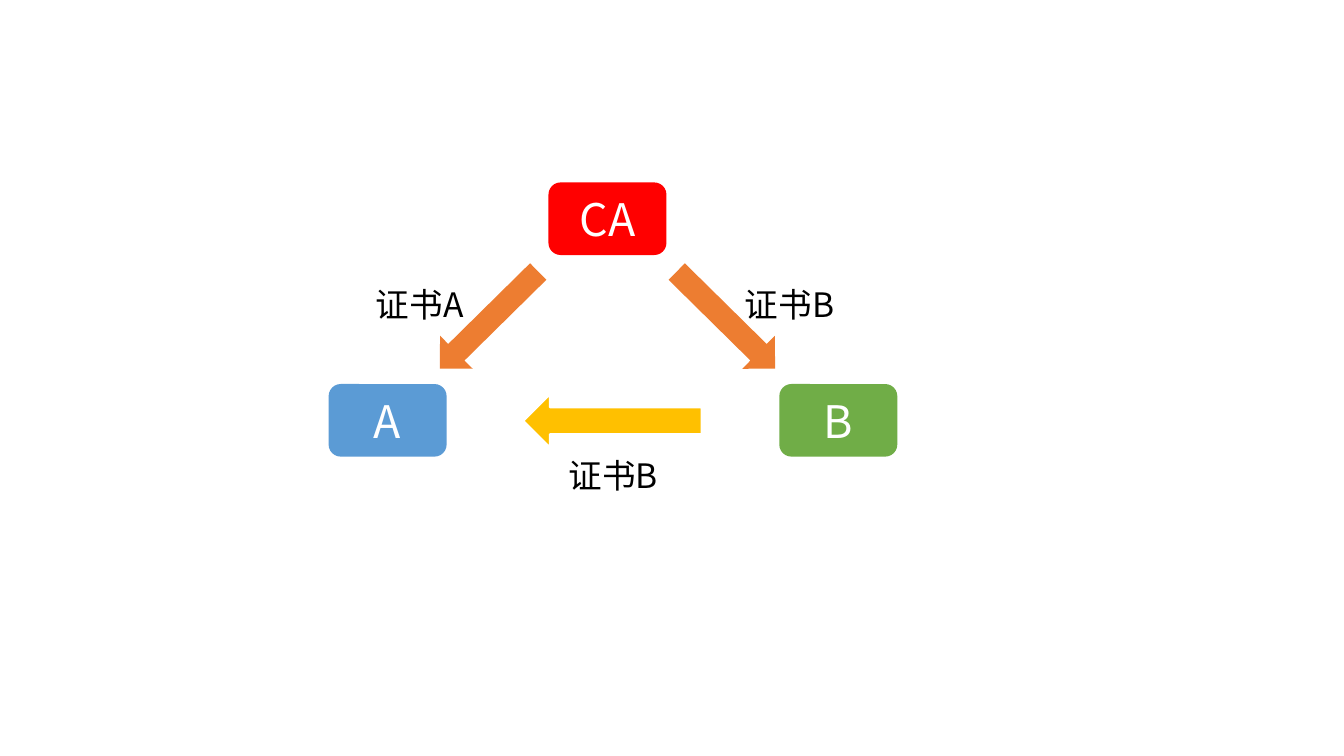
import dataclasses
import pptx
import pptx.dml.color
import pptx.enum.shapes
import pptx.enum.text
import pptx.oxml.ns
import pptx.util
from lxml import etree

Inches = pptx.util.Inches
Kind = pptx.enum.shapes.MSO_SHAPE


@dataclasses.dataclass(frozen=True)
class Theme:
    font: str = "Noto Sans CJK SC"
    red: str = "FF0000"
    blue: str = "5B9BD5"
    green: str = "70AD47"
    orange: str = "ED7D31"
    gold: str = "FFC000"
    white: str = "FFFFFF"
    black: str = "000000"
    node: int = 32
    label: int = 24
    edge: float = 1.5


THEME = Theme()


def color(code):
    return pptx.dml.color.RGBColor.from_string(code)


def write(frame, text, size, code):
    """Add one run, with the font set for Latin and Chinese text."""
    run = frame.paragraphs[0].add_run()
    run.text = text
    font = run.font
    font.name = THEME.font
    font.size = pptx.util.Pt(size)
    font.color.rgb = color(code)
    east = etree.SubElement(run._r.get_or_add_rPr(), pptx.oxml.ns.qn("a:ea"))
    east.set("typeface", THEME.font)


def block(slide, kind, box, fill):
    """Add a filled shape without outline or shadow."""
    shape = slide.shapes.add_shape(kind, *map(Inches, box))
    shape.shadow.inherit = False
    shape.fill.solid()
    shape.fill.fore_color.rgb = color(fill)
    shape.line.fill.background()
    return shape


def node(slide, text, left, top, fill):
    shape = block(slide, Kind.ROUNDED_RECTANGLE, (left, top, 1.17, 0.72), fill)
    frame = shape.text_frame
    frame.vertical_anchor = pptx.enum.text.MSO_ANCHOR.MIDDLE
    frame.paragraphs[0].alignment = pptx.enum.text.PP_ALIGN.CENTER
    write(frame, text, THEME.node, THEME.white)


def issue(slide, left, angle):
    """Add a slanted arrow from the CA to a party."""
    arrow = block(slide, Kind.DOWN_ARROW, (left, 2.49, 0.46, 1.37), THEME.orange)
    arrow.rotation = angle


def send(slide):
    """Add the arrow from B to A."""
    arrow = block(slide, Kind.LEFT_ARROW, (5.19, 3.91, 1.77, 0.53), THEME.gold)
    arrow.line.color.rgb = color(THEME.white)
    arrow.line.width = pptx.util.Pt(THEME.edge)


def label(slide, text, left, top):
    box = slide.shapes.add_textbox(*map(Inches, (left, top, 1.11, 0.5)))
    frame = box.text_frame
    frame.word_wrap = True
    frame.auto_size = pptx.enum.text.MSO_AUTO_SIZE.SHAPE_TO_FIT_TEXT
    write(frame, text, THEME.label, THEME.black)


def main():
    deck = pptx.Presentation()
    deck.slide_width = Inches(13.33)
    deck.slide_height = Inches(7.5)
    slide = deck.slides.add_slide(deck.slide_layouts[6])

    # Authority and parties
    node(slide, "CA", 5.44, 1.81, THEME.red)
    node(slide, "A", 3.26, 3.81, THEME.blue)
    node(slide, "B", 7.73, 3.81, THEME.green)

    # Certificates issued by the CA
    tilt = 45.4
    issue(slide, 4.62, tilt)
    issue(slide, 6.97, 360 - tilt)
    label(slide, "证书A", 3.63, 2.77)
    label(slide, "证书B", 7.29, 2.77)

    # Certificate sent from B to A
    send(slide)
    label(slide, "证书B", 5.54, 4.46)

    deck.save("out.pptx")


main()
